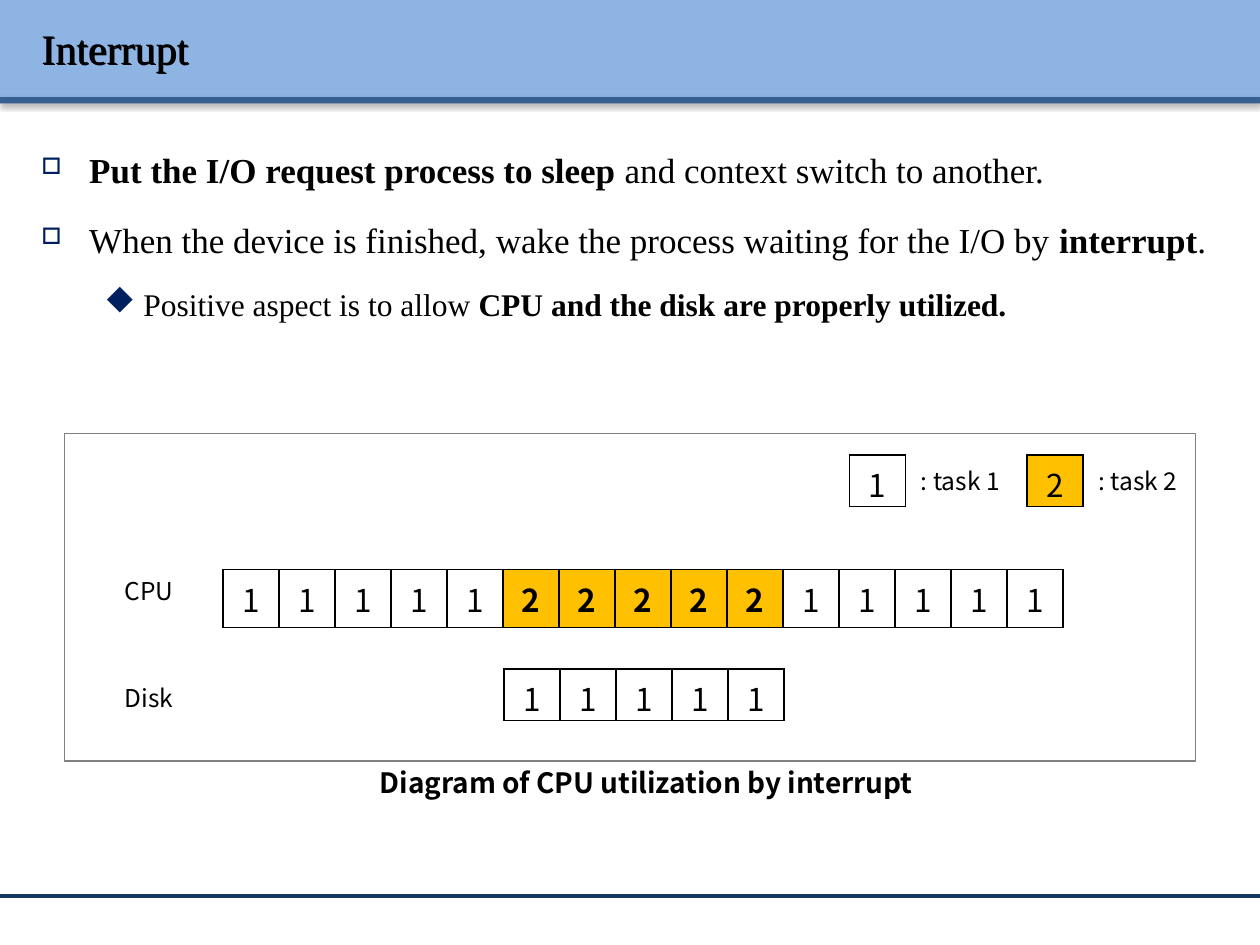
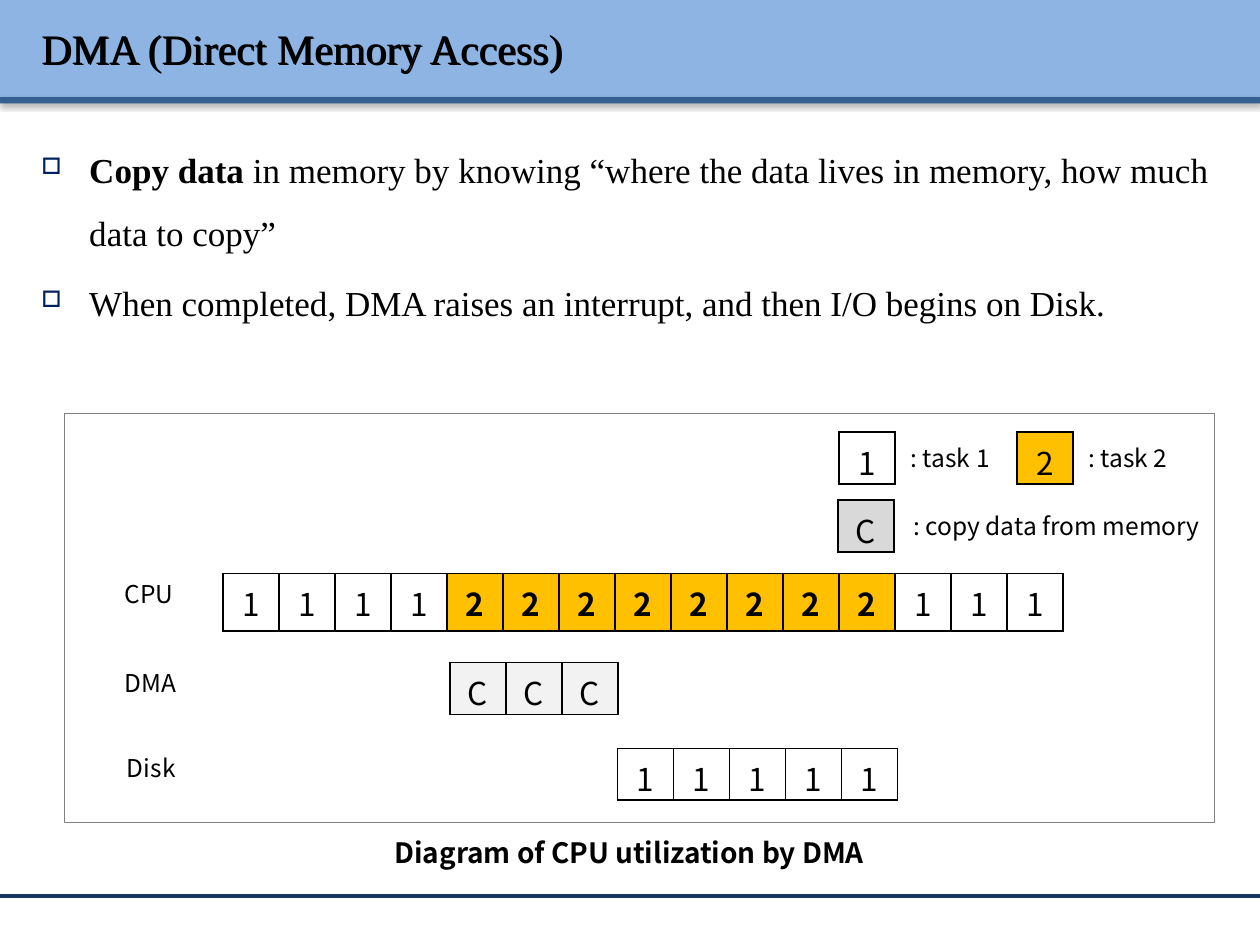
from dataclasses import dataclass

from lxml import etree
from pptx import Presentation
from pptx.dml.color import RGBColor
from pptx.enum import shapes, text
from pptx.oxml import ns
from pptx.util import Inches, Pt


@dataclass(frozen=True)
class Theme:
    serif: str = "Times New Roman"
    sans: str = "Noto Sans CJK KR"
    signs: str = "Wingdings"
    ink: str = "000000"
    band: str = "8EB4E3"
    edge: str = "376092"
    foot: str = "17375E"
    mark: str = "002060"
    frame: str = "808080"
    gold: str = "FFC000"
    pale: str = "F2F2F2"
    gray: str = "D9D9D9"
    title: int = 24
    body: tuple = (20, 18)
    cell: int = 18
    label: int = 14
    caption: int = 16


@dataclass(frozen=True)
class Box:
    col: float
    row: float
    wide: float
    high: float

    def place(self) -> tuple:
        return tuple(int(UNIT * n) for n in (self.col, self.row, self.wide, self.high))


@dataclass(frozen=True)
class Point:
    words: str
    level: int = 0


@dataclass(frozen=True)
class Track:
    name: str
    marks: str
    col: float
    row: float
    side: float
    line: float
    main: bool = False


@dataclass(frozen=True)
class Key:
    mark: str
    name: str
    col: float
    row: float
    wide: float
    gap: float = 4.7


@dataclass(frozen=True)
class Page:
    title: str
    points: tuple
    frame: Box
    tracks: tuple
    keys: tuple
    caption: str
    spot: Box


THEME = Theme()
COLS, ROWS = 100, 75
UNIT = Inches(10) / COLS
STEP, TALL, MAIN = 66.7 / 15, 4.1, 4.6
TITLE = Box(2.3, 0.6, 96.1, 6.4)
BODY = Box(2.3, 9.6, 96.1, 46)
BANDS = ((Box(0, 0, COLS, 7.7), THEME.band), (Box(0, 7.7, COLS, 0.5), THEME.edge))
FOOT = 71.1
BULLETS = (("o", 65, 0.38, 0.38), ("u", 100, 0.81, 0.31))
TONES = {"2": THEME.gold, "C": THEME.pale}

PAGES = (
    Page(
        "Interrupt",
        (
            Point("**Put the I/O request process to sleep **and context switch to another."),
            Point("When the device is finished, wake the process waiting for the I/O by **interrupt**."),
            Point("Positive aspect is to allow **CPU and the disk are properly utilized.**", 1),
        ),
        Box(5.1, 34.4, 89.8, 26),
        (
            Track("CPU", "1" * 5 + "2" * 5 + "1" * 5, 17.7, 45.2, 8.9, 45.2, True),
            Track("Disk", "1" * 5, 40, 53.1, 8.9, 53.7),
        ),
        (
            Key("1", ": task 1", 67.4, 36.1, 13.4),
            Key("2", ": task 2", 81.5, 36.1, 8.7),
        ),
        "Diagram of CPU utilization by interrupt ",
        Box(24.8, 60.3, 53.5, 3.7),
    ),
    Page(
        "DMA (Direct Memory Access)",
        (
            Point("**Copy data **in memory by knowing “where the data lives in memory, how much data to copy”"),
            Point("When completed, DMA raises an interrupt, and then I/O begins on Disk."),
        ),
        Box(5.1, 32.8, 91.3, 32.5),
        (
            Track("CPU", "1" * 4 + "2" * 8 + "1" * 3, 17.7, 45.5, 8.9, 45.5, True),
            Track("DMA", "C" * 3, 35.7, 52.6, 8.9, 52.5),
            Track("Disk", "1" * 5, 49, 59.4, 9.1, 59.3),
        ),
        (
            Key("1", ": task 1", 66.6, 34.3, 13.4),
            Key("2", ": task 2", 80.7, 34.3, 8.7),
            Key("C", ": copy data from memory", 66.5, 39.7, 26.6, 5),
        ),
        "Diagram of CPU utilization by DMA",
        Box(23.2, 65.8, 53.5, 3.7),
    ),
)


def rgb(tone: str) -> RGBColor:
    return RGBColor.from_string(tone)


def node(root, tag: str, **attrs):
    return etree.SubElement(root, ns.qn(tag), {k: str(v) for k, v in attrs.items()})


def tint(root, tone: str):
    return node(root, "a:srgbClr", val=tone)


def shade(root, blur: float, dist: float, turn: int, alpha: int) -> None:
    drop = node(node(root, "a:effectLst"), "a:outerShdw", blurRad=Pt(blur),
                dist=Pt(dist), dir=turn * 60000, algn="tl", rotWithShape=0)
    node(tint(drop, THEME.ink), "a:alpha", val=alpha * 1000)


def style(para, face: str, size: int, bold: bool = False) -> None:
    font = para.font
    font.name, font.size, font.bold = face, Pt(size), bold
    font.color.rgb = rgb(THEME.ink)


def write(slide, box: Box):
    shape = slide.shapes.add_textbox(*box.place())
    shape.text_frame.word_wrap = True
    return shape


def label(slide, words: str, box: Box, size: int = THEME.label, bold: bool = False):
    para = write(slide, box).text_frame.paragraphs[0]
    para.text = words
    style(para, THEME.sans, size, bold)
    return para


def rect(slide, box: Box):
    shape = slide.shapes.add_shape(shapes.MSO_SHAPE.RECTANGLE, *box.place())
    shape.shadow.inherit = False
    return shape


def base(slide, title: str) -> None:
    for box, tone in BANDS:
        band = rect(slide, box)
        band.fill.solid()
        band.fill.fore_color.rgb = rgb(tone)
        band.line.fill.background()
        props = band._element.spPr
        props.remove(props.find(ns.qn("a:effectLst")))
        shade(props, 3.1, 1.6, 90, 38)
    ends = (int(UNIT * n) for n in (0, FOOT, COLS, FOOT))
    rule = slide.shapes.add_connector(shapes.MSO_CONNECTOR.STRAIGHT, *ends)
    rule.line.color.rgb = rgb(THEME.foot)
    rule.line.width = Pt(2)
    node(rule._element.spPr, "a:effectLst")
    head = write(slide, TITLE)
    shade(head._element.spPr, 0, 1.1, 45, 100)
    head.text_frame.vertical_anchor = text.MSO_ANCHOR.MIDDLE
    para = head.text_frame.paragraphs[0]
    para.text = title
    style(para, THEME.serif, THEME.title)


def points(slide, items: tuple) -> None:
    frame = write(slide, BODY).text_frame
    for num, item in enumerate(items):
        para = frame.add_paragraph() if num else frame.paragraphs[0]
        size = THEME.body[item.level]
        sign, scale, left, hang = BULLETS[item.level]
        para.level = item.level
        para.line_spacing = 1.5
        para.space_before = Pt(size * 0.2)
        props = para._p.get_or_add_pPr()
        props.set("marL", str(Inches(left)))
        props.set("indent", str(-Inches(hang)))
        tint(node(props, "a:buClr"), THEME.mark)
        node(props, "a:buSzPct", val=scale * 1000)
        node(props, "a:buFont", typeface=THEME.signs, pitchFamily=2, charset=2)
        node(props, "a:buChar", char=sign)
        style(para, THEME.serif, size)
        for turn, words in enumerate(item.words.split("**")):
            if words:
                run = para.add_run()
                run.text = words
                run.font.bold = turn % 2 == 1


def border(cell) -> None:
    props = cell._tc.get_or_add_tcPr()
    for spot, side in enumerate("LRTB"):
        line = node(props, f"a:ln{side}", w=Pt(1))
        tint(node(line, "a:solidFill"), THEME.ink)
        props.insert(spot, line)


def strip(slide, marks: str, col: float, row: float, tones: dict, main: bool = False) -> None:
    box = Box(col, row, STEP * len(marks), MAIN if main else TALL)
    grid = slide.shapes.add_table(1, len(marks), *box.place()).table
    grid.first_row = grid.horz_banding = False
    for num, mark in enumerate(marks):
        grid.columns[num].width = int(UNIT * STEP)
        cell = grid.cell(0, num)
        if mark in tones:
            cell.fill.solid()
            cell.fill.fore_color.rgb = rgb(tones[mark])
        else:
            cell.fill.background()
        border(cell)
        para = cell.text_frame.paragraphs[0]
        para.text = mark
        para.alignment = text.PP_ALIGN.CENTER
        style(para, THEME.sans, THEME.cell, main and mark == "2")


def chart(slide, page: Page) -> None:
    frame = rect(slide, page.frame)
    frame.fill.background()
    frame.line.color.rgb = rgb(THEME.frame)
    frame.line.width = Pt(0.75)
    for track in page.tracks:
        strip(slide, track.marks, track.col, track.row, TONES, track.main)
        label(slide, track.name, Box(track.side, track.line, 8, 3.4))
    for key in page.keys:
        strip(slide, key.mark, key.col, key.row, {**TONES, "C": THEME.gray})
        label(slide, key.name, Box(key.col + key.gap, key.row + 0.4, key.wide, 3.4))
    para = label(slide, page.caption, page.spot, THEME.caption, True)
    para.alignment = text.PP_ALIGN.CENTER


def main() -> None:
    deck = Presentation()
    deck.slide_width, deck.slide_height = int(UNIT * COLS), int(UNIT * ROWS)
    for page in PAGES:
        slide = deck.slides.add_slide(deck.slide_layouts[6])
        base(slide, page.title)
        points(slide, page.points)
        chart(slide, page)
    deck.save("out.pptx")


if __name__ == "__main__":
    main()
